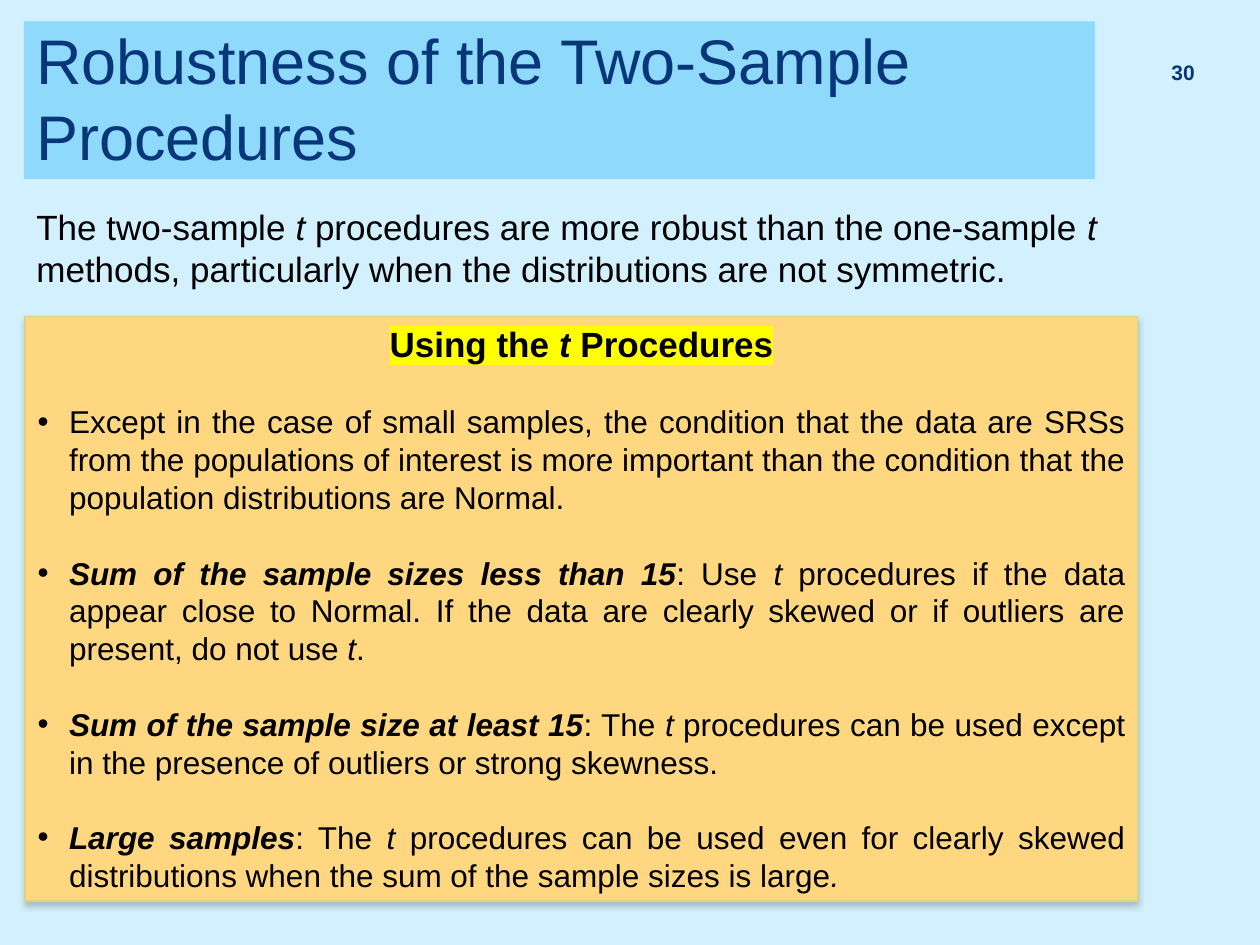
from lxml.etree import SubElement
from pptx import Presentation
from pptx.dml.color import RGBColor
from pptx.enum.shapes import MSO_SHAPE
from pptx.enum.text import MSO_ANCHOR as Anchor, PP_ALIGN as Align
from pptx.oxml.ns import qn
from pptx.util import Pt

NAVY, BLACK = "073779", "000000"


def color(value):
    return RGBColor.from_string(value)


def add_box(s, box, fill=None, anchor=Anchor.TOP):
    place = [Pt(v) for v in box]
    if fill:
        sp = s.shapes.add_shape(MSO_SHAPE.RECTANGLE, *place)
        sp.shadow.inherit = False
        sp.fill.solid()
        sp.fill.fore_color.rgb = color(fill)
        sp.line.fill.background()
    else:
        sp = s.shapes.add_textbox(*place)
    sp.text_frame.word_wrap = True
    sp.text_frame.vertical_anchor = anchor
    return sp


def add_runs(p, runs, size, ink=BLACK, highlight=None):
    for text, style in runs:
        r = p.add_run()
        r.text = text
        r.font.size = Pt(size)
        r.font.name = "Arial"
        r.font.bold = "b" in style
        r.font.italic = "i" in style
        r.font.color.rgb = color(ink)
        if highlight:
            mark = SubElement(r.font._element, qn("a:highlight"))
            SubElement(mark, qn("a:srgbClr"), val=highlight)
            r.font._element.find(qn("a:solidFill")).addnext(mark)


def add_bullet(p, indent):
    pPr = p._p.get_or_add_pPr()
    pPr.set("marL", str(Pt(indent)))
    pPr.set("indent", str(-Pt(indent)))
    SubElement(pPr, qn("a:buFont"), typeface="Arial")
    SubElement(pPr, qn("a:buChar"), char="•")


def add_shadow(sp, ink, alpha, blur, dist):
    effects = sp._element.spPr.find(qn("a:effectLst"))
    shadow = SubElement(effects, qn("a:outerShdw"), blurRad=str(Pt(blur)),
                        dist=str(Pt(dist)), dir="5400000", rotWithShape="0")
    clr = SubElement(shadow, qn("a:srgbClr"), val=ink)
    SubElement(clr, qn("a:alpha"), val=str(alpha * 1000))


def add_title(s, box, text):
    p = add_box(s, box, "8FD9FB", Anchor.BOTTOM).text_frame.paragraphs[0]
    p.alignment = Align.LEFT
    add_runs(p, [(text, "")], 36, NAVY)


def add_page_number(s, box, number):
    p = add_box(s, box, anchor=Anchor.MIDDLE).text_frame.paragraphs[0]
    p.alignment = Align.RIGHT
    p.line_spacing = 0.8
    add_runs(p, [(number, "b")], 12, NAVY)


def add_intro(s, box, runs):
    add_runs(add_box(s, box).text_frame.paragraphs[0], runs, 20)


def add_guidelines(s, box, heading, items):
    sp = add_box(s, box, "FFD780")
    sp.line.color.rgb = color("D2DA7A")
    sp.line.width = Pt(0.79)
    add_shadow(sp, "808080", 45, 3, 2.4)
    tf = sp.text_frame
    p = tf.paragraphs[0]
    p.alignment = Align.CENTER
    add_runs(p, heading, 20, highlight="FFFF00")
    for runs in items:
        p = tf.add_paragraph()
        add_bullet(p, 18)
        p.alignment = Align.JUSTIFY
        p.space_before = Pt(21.6)
        add_runs(p, runs, 18)


def main():
    prs = Presentation()
    prs.slide_width, prs.slide_height = Pt(720), Pt(540)
    s = prs.slides.add_slide(prs.slide_layouts[6])
    s.background.fill.solid()
    s.background.fill.fore_color.rgb = color("D2F0FD")

    add_title(s, (13.7, 12.2, 612, 90), "Robustness of the Two-Sample Procedures")
    add_page_number(s, (650.2, 28.1, 39.6, 28.8), "30")
    add_intro(s, (13.7, 113.8, 635, 55.4), [
        ("The two-sample ", ""), ("t", "i"),
        (" procedures are more robust than the one-sample ", ""), ("t", "i"),
        (" methods, particularly when the distributions are not symmetric.", ""),
    ])
    heading = [("Using the ", "b"), ("t", "bi"), (" Procedures", "b")]
    items = [
        [("Except in the case of small samples, the condition that the data are "
          "SRSs from the populations of interest is more important than the "
          "condition that the population distributions are Normal.", "")],
        [("Sum of the sample sizes less than 15", "bi"), (": Use ", ""), ("t", "i"),
         (" procedures if the data appear close to Normal. If the data are clearly "
          "skewed or if outliers are present, do not use ", ""), ("t", "i"), (".", "")],
        [("Sum of the sample size at least 15", "bi"), (": The ", ""), ("t", "i"),
         (" procedures can be used except in the presence of outliers or strong "
          "skewness.", "")],
        [("Large samples", "bi"), (": The ", ""), ("t", "i"),
         (" procedures can be used even for clearly skewed distributions when the "
          "sum of the sample sizes is large", ""), (".", "i")],
    ]
    add_guidelines(s, (14.4, 180.8, 635.8, 334.2), heading, items)
    prs.save("out.pptx")


if __name__ == "__main__":
    main()
